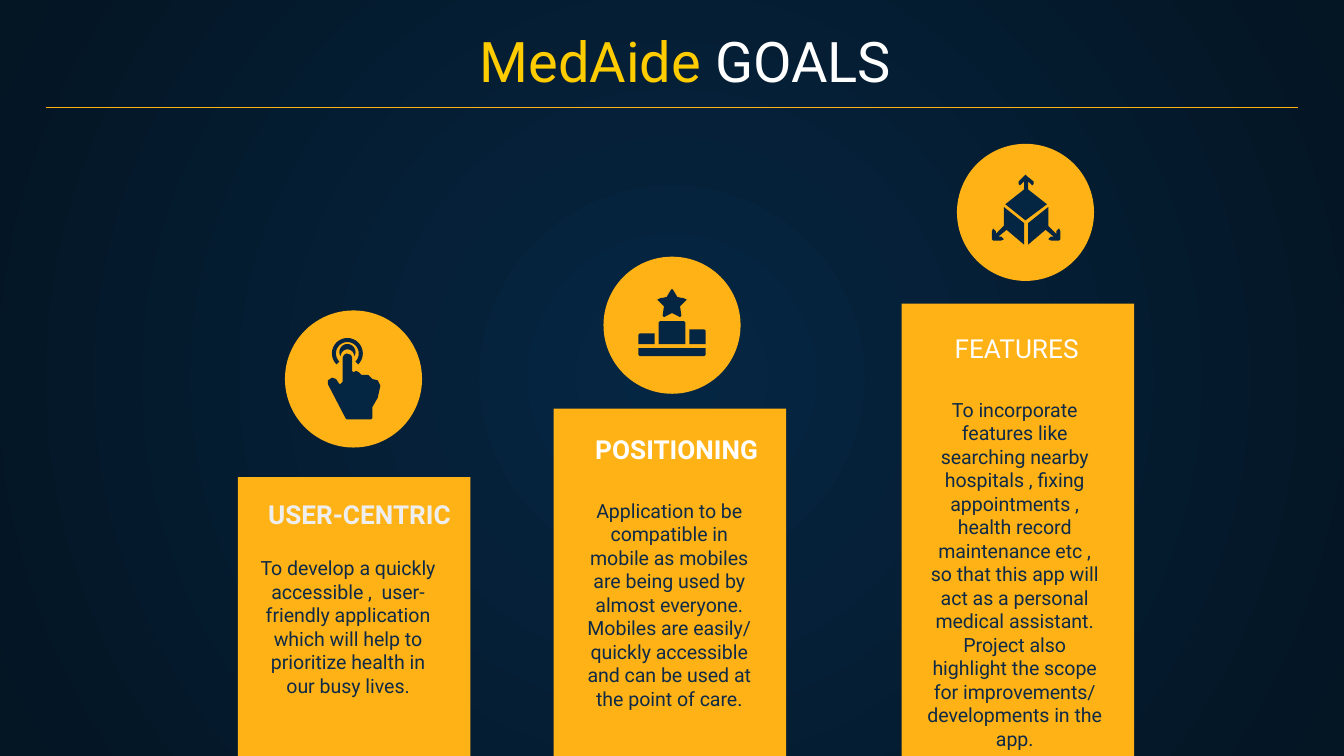
import math

import lxml.etree
import pptx
import pptx.dml.color
import pptx.enum.shapes
import pptx.enum.text
import pptx.oxml
import pptx.oxml.ns
import pptx.util

Inches = pptx.util.Inches
RGBColor = pptx.dml.color.RGBColor
MSO_SHAPE = pptx.enum.shapes.MSO_SHAPE
ANCHOR = pptx.enum.text.MSO_ANCHOR

NAVY = RGBColor(0x05, 0x26, 0x43)
DARK_NAVY = RGBColor(0x04, 0x15, 0x23)
BODY_BLUE = RGBColor(0x0E, 0x2A, 0x47)
AMBER = RGBColor(0xFF, 0xB2, 0x15)
YELLOW = RGBColor(0xFF, 0xCC, 0x00)
WHITE = RGBColor(0xFF, 0xFF, 0xFF)
LIGHT_GREY = RGBColor(0xEE, 0xEE, 0xEE)

SLIDE_HEIGHT = 5.625
COLUMN_WIDTH = 1.73
HEADING_WIDTH = 2.27
BODY_WIDTH = 1.52
CIRCLE_SIZE = 1.02

presentation = pptx.Presentation()
presentation.slide_width = Inches(10)
presentation.slide_height = Inches(SLIDE_HEIGHT)
slide = presentation.slides.add_slide(presentation.slide_layouts[6])

# Radial background
background = slide.background.fill
background.gradient()
for stop, position, color in zip(background.gradient_stops, (0, 1), (NAVY, DARK_NAVY)):
    stop.position = position
    stop.color.rgb = color
linear = slide.background._cSld.find(".//" + pptx.oxml.ns.qn("a:lin"))
radial = pptx.oxml.parse_xml(
    f'<a:path {pptx.oxml.ns.nsdecls("a")} path="circle">'
    '<a:fillToRect l="50000" t="50000" r="50000" b="50000"/></a:path>'
)
linear.getparent().replace(linear, radial)


def add_text(left, top, width, height, runs, size, bold=False, anchor=ANCHOR.TOP):
    """Add a centred text box; runs is a list of (text, color)."""
    frame = slide.shapes.add_textbox(
        Inches(left), Inches(top), Inches(width), Inches(height)
    ).text_frame
    frame.word_wrap = True
    frame.vertical_anchor = anchor
    frame.margin_left = frame.margin_right = Inches(0.1)
    frame.margin_top = frame.margin_bottom = Inches(0.1)
    paragraph = frame.paragraphs[0]
    paragraph.alignment = pptx.enum.text.PP_ALIGN.CENTER
    for text, color in runs:
        run = paragraph.add_run()
        run.text = text
        run.font.name = "Roboto"
        run.font.size = pptx.util.Pt(size)
        run.font.bold = bold
        run.font.color.rgb = color


def arc_points(center_x, center_y, radius, start, end):
    """Return points along an arc, with angles in degrees clockwise from the right."""
    angles = [math.radians(start + (end - start) * step / 24) for step in range(25)]
    return [
        (center_x + radius * math.cos(angle), center_y + radius * math.sin(angle))
        for angle in angles
    ]


add_text(0.44, 0.14, 9.32, 0.66, [("MedAide", YELLOW), (" GOALS", WHITE)], 30,
         anchor=ANCHOR.BOTTOM)

# Column left and top; heading box; body box; circle left and top
goals = [
    ((1.77, 3.55), "USER-CENTRIC", LIGHT_GREY, True, (1.54, 3.65, 0.39),
     "To develop a quickly accessible ,  user-friendly application which will help "
     "to prioritize health in our busy lives.",
     (1.83, 4.04, 1.35), (2.12, 2.31)),
    ((4.12, 3.04), "POSITIONING", WHITE, True, (3.9, 3.12, 0.44),
     "Application to be compatible in mobile as mobiles are being used by almost "
     "everyone. Mobiles are easily/ quickly accessible and can be used at the point "
     "of care.",
     (4.22, 3.61, 1.77), (4.49, 1.91)),
    ((6.71, 2.26), "FEATURES", WHITE, False, (6.43, 2.41, 0.4),
     "To incorporate features like searching nearby hospitals , fixing appointments , "
     "health record maintenance etc , so that this app will act as a personal medical "
     "assistant. Project also highlight the scope for improvements/ developments in "
     "the app.",
     (6.79, 2.86, 2.76), (7.12, 1.07)),
]
for column, heading, heading_color, bold, heading_box, body, body_box, circle in goals:
    for kind, (left, top), width, height in (
        (MSO_SHAPE.RECTANGLE, column, COLUMN_WIDTH, SLIDE_HEIGHT - column[1]),
        (MSO_SHAPE.OVAL, circle, CIRCLE_SIZE, CIRCLE_SIZE),
    ):
        shape = slide.shapes.add_shape(
            kind, Inches(left), Inches(top), Inches(width), Inches(height)
        )
        shape.shadow.inherit = False
        shape.fill.solid()
        shape.fill.fore_color.rgb = AMBER
        shape.line.fill.background()
    left, top, height = body_box
    add_text(left, top, BODY_WIDTH, height, [(body, BODY_BLUE)], 10.5)
    left, top, height = heading_box
    add_text(left, top, HEADING_WIDTH, height, [(heading, heading_color)], 14, bold,
             ANCHOR.BOTTOM)

# Icon outlines
touch_ring = arc_points(2.585, 2.63, 0.115, 135, 405) + arc_points(2.585, 2.63, 0.085, 405, 135)
touch_crescent = arc_points(2.585, 2.62, 0.06, 160, 380) + arc_points(2.585, 2.65, 0.05, 360, 180)
hand = [
    (2.58, 2.63), (2.56, 2.64), (2.55, 2.66), (2.55, 2.84), (2.53, 2.86), (2.52, 2.85),
    (2.5, 2.82), (2.47, 2.81), (2.44, 2.83), (2.44, 2.86), (2.57, 3.11), (2.58, 3.12),
    (2.76, 3.12), (2.77, 3.11), (2.77, 3.03), (2.81, 2.96), (2.83, 2.87), (2.81, 2.83),
    (2.77, 2.82), (2.76, 2.81), (2.74, 2.79), (2.72, 2.79), (2.69, 2.79), (2.67, 2.77),
    (2.65, 2.76), (2.63, 2.77), (2.62, 2.76), (2.62, 2.66), (2.61, 2.64),
]
star = [
    (5, 2.15), (4.99, 2.16), (4.96, 2.21), (4.91, 2.22), (4.89, 2.23), (4.9, 2.24),
    (4.94, 2.28), (4.93, 2.35), (4.94, 2.36), (5, 2.33), (5.06, 2.36), (5.07, 2.35),
    (5.06, 2.28), (5.1, 2.24), (5.11, 2.23), (5.09, 2.22), (5.04, 2.21), (5.01, 2.16),
]
first_step = [(4.91, 2.39), (4.9, 2.4), (4.9, 2.56), (5.1, 2.56), (5.1, 2.4), (5.09, 2.39)]
second_step = [(4.76, 2.48), (4.75, 2.49), (4.75, 2.56), (4.87, 2.56), (4.87, 2.48)]
third_step = [(5.13, 2.45), (5.13, 2.56), (5.25, 2.56), (5.25, 2.46), (5.24, 2.45)]
podium_base = [(4.75, 2.59), (4.75, 2.64), (4.76, 2.65), (5.24, 2.65), (5.25, 2.64), (5.25, 2.59)]
cube_top = [
    (7.63, 1.3), (7.62, 1.31), (7.58, 1.35), (7.58, 1.37), (7.59, 1.38), (7.6, 1.37),
    (7.62, 1.35), (7.62, 1.41), (7.48, 1.52), (7.63, 1.64), (7.79, 1.52), (7.65, 1.41),
    (7.65, 1.35), (7.67, 1.37), (7.68, 1.38), (7.69, 1.37), (7.69, 1.35), (7.64, 1.31),
]
cube_right = [
    (7.8, 1.54), (7.65, 1.66), (7.65, 1.82), (7.78, 1.71), (7.84, 1.76), (7.82, 1.76),
    (7.8, 1.78), (7.82, 1.79), (7.88, 1.79), (7.89, 1.78), (7.89, 1.72), (7.88, 1.7),
    (7.86, 1.72), (7.86, 1.74), (7.8, 1.68),
]
cube_left = [(2 * 7.635 - x, y) for x, y in cube_right]

for outline in (touch_ring, touch_crescent, hand, star, first_step, second_step,
                third_step, podium_base, cube_top, cube_right, cube_left):
    points = [(Inches(x), Inches(y)) for x, y in outline]
    builder = slide.shapes.build_freeform(*points[0])
    builder.add_line_segments(points[1:], close=True)
    icon_part = builder.convert_to_shape()
    icon_part.shadow.inherit = False
    icon_part.fill.solid()
    icon_part.fill.fore_color.rgb = NAVY
    icon_part.line.fill.background()

title_rule = slide.shapes.add_connector(
    pptx.enum.shapes.MSO_CONNECTOR.STRAIGHT,
    Inches(0.34), Inches(0.8), Inches(9.66), Inches(0.8),
)
title_rule.line.color.rgb = AMBER
title_rule.line.width = pptx.util.Pt(0.75)
lxml.etree.SubElement(title_rule._element.spPr, pptx.oxml.ns.qn("a:effectLst"))

presentation.save("out.pptx")
